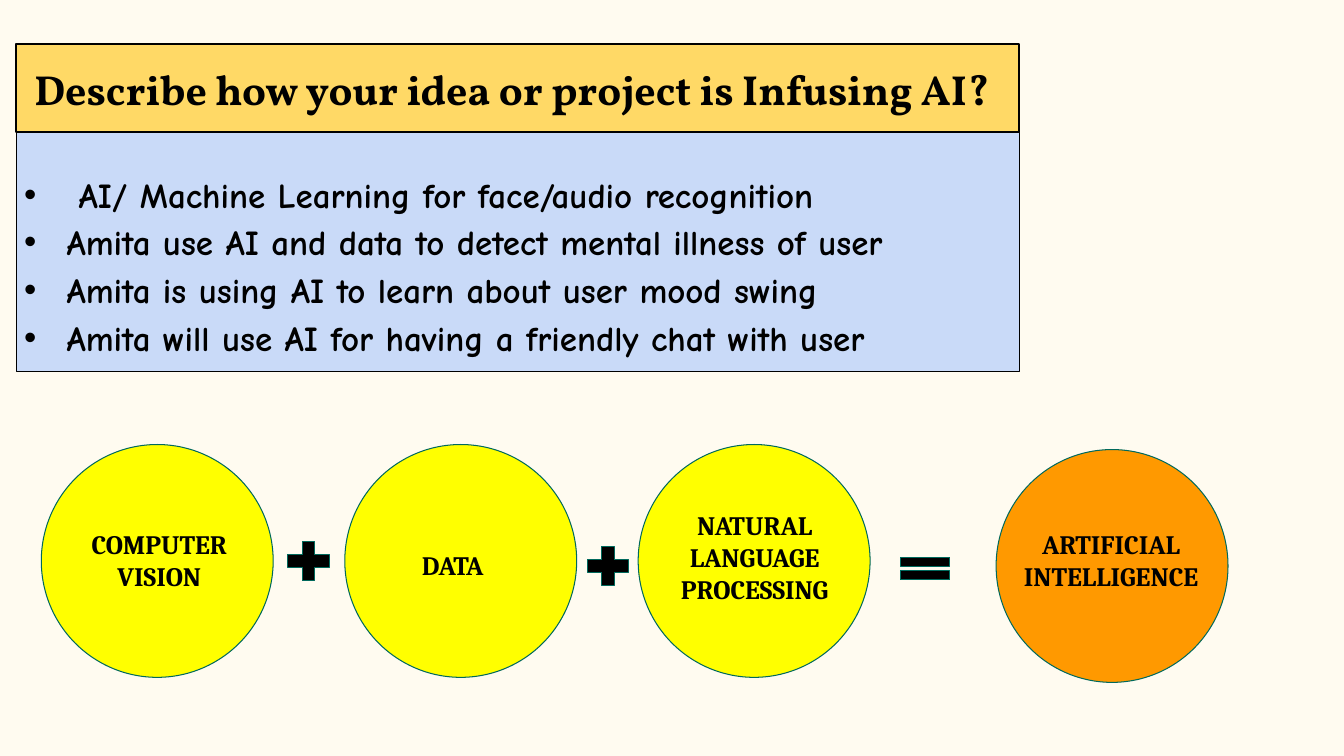
import pptx
import pptx.dml.color
import pptx.enum.shapes
import pptx.enum.text
import pptx.oxml
import pptx.oxml.ns
import pptx.util

Inches = pptx.util.Inches
Pt = pptx.util.Pt
SHAPE = pptx.enum.shapes.MSO_SHAPE
ANCHOR = pptx.enum.text.MSO_ANCHOR
CENTER = pptx.enum.text.PP_ALIGN.CENTER

BLACK = "000000"
TEAL = "00695C"
YELLOW = "FFFF00"
CIRCLE_WIDTH, CIRCLE_HEIGHT = 2.3, 2.31
LABEL_HEIGHT = 1.22
USES = [
    "AI/ Machine Learning for face/audio recognition",
    "Amita use AI and data to detect mental illness of user",
    "Amita is using AI to learn about user mood swing",
    "Amita will use AI for having a friendly chat with user",
]


def color(value):
    """Return the colour for a hex string."""
    return pptx.dml.color.RGBColor.from_string(value)


def paint(shape, fill, line, width):
    """Give a shape a solid fill and an outline."""
    shape.fill.solid()
    shape.fill.fore_color.rgb = color(fill)
    shape.line.color.rgb = color(line)
    shape.line.width = Pt(width)


def set_margins(frame, left, top, right, bottom):
    """Set the insets of a text frame in inches."""
    frame.margin_left, frame.margin_top = Inches(left), Inches(top)
    frame.margin_right, frame.margin_bottom = Inches(right), Inches(bottom)


def style(paragraph, font, size):
    """Format the runs of a paragraph in bold black."""
    for run in paragraph.runs:
        run.font.name = font
        run.font.size = Pt(size)
        run.font.bold = True
        run.font.color.rgb = color(BLACK)


def add_preset(slide, kind, left, top, width, height, fill, line=TEAL, line_width=0.75):
    """Add a painted preset shape without shadow."""
    shape = slide.shapes.add_shape(
        kind, Inches(left), Inches(top), Inches(width), Inches(height))
    shape.shadow.inherit = False
    paint(shape, fill, line, line_width)
    return shape


def add_bullet(paragraph, indent, hanging):
    """Put a black round bullet and a hanging indent on a paragraph."""
    properties = paragraph._p.get_or_add_pPr()
    properties.set("marL", str(Inches(indent)))
    properties.set("indent", str(-Inches(hanging)))
    namespace = pptx.oxml.ns.nsdecls("a")
    for element in (
        f'<a:buClr {namespace}><a:srgbClr val="{BLACK}"/></a:buClr>',
        f'<a:buFont {namespace} typeface="Arial"/>',
        f'<a:buChar {namespace} char="•"/>',
    ):
        properties.append(pptx.oxml.parse_xml(element))


def add_heading(slide, left, top, width, height):
    """Turn the title placeholder into the heading bar."""
    heading = slide.shapes.title
    heading.left, heading.top = Inches(left), Inches(top)
    heading.width, heading.height = Inches(width), Inches(height)
    paint(heading, "FFD966", BLACK, 1.5)
    frame = heading.text_frame
    frame.text = "Describe how your idea or project is Infusing AI?"
    frame.auto_size = pptx.enum.text.MSO_AUTO_SIZE.NONE
    frame.vertical_anchor = ANCHOR.MIDDLE
    set_margins(frame, 0, 0, 0.11, 0)
    frame.paragraphs[0].alignment = CENTER
    style(frame.paragraphs[0], "Vollkorn", 30)


def add_uses(slide, left, top, width, height):
    """Add the panel with the bulleted uses of AI."""
    panel = add_preset(slide, SHAPE.RECTANGLE, left, top, width, height, "C9DAF8", BLACK)
    frame = panel.text_frame
    frame.word_wrap = True
    frame.vertical_anchor = ANCHOR.TOP
    set_margins(frame, 0, 0.41, 0, 0)
    frame.text = "\n".join(USES)
    for index, paragraph in enumerate(frame.paragraphs):
        extra = 0 if index else 0.12
        paragraph.alignment = pptx.enum.text.PP_ALIGN.LEFT
        if index:
            paragraph.space_before = Pt(4)
        add_bullet(paragraph, 0.5 + extra, 0.42 + extra)
        style(paragraph, "Comic Neue", 25)


def add_term(slide, left, top, fill, label, label_left, label_top, label_width):
    """Add one circle of the sum and its label, offset from the circle."""
    add_preset(slide, SHAPE.OVAL, left, top, CIRCLE_WIDTH, CIRCLE_HEIGHT, fill)
    box = slide.shapes.add_textbox(
        Inches(left + label_left), Inches(top + label_top),
        Inches(label_width), Inches(LABEL_HEIGHT))
    frame = box.text_frame
    frame.word_wrap = True
    set_margins(frame, 0.1, 0.1, 0.1, 0.1)
    frame.text = label
    for paragraph in frame.paragraphs:
        paragraph.alignment = CENTER
        style(paragraph, "Cambria", 19)


def add_sum(slide, left, top):
    """Add the row of circles joined by plus and equals signs."""
    terms = [
        (0, 0, YELLOW, "COMPUTER\nVISION", 0.21, 0.73, 1.92),
        (3.01, 0, YELLOW, "DATA", 0.11, 0.94, 1.92),
        (5.92, 0, YELLOW, "NATURAL\nLANGUAGE\nPROCESSING", 0.1, 0.54, 2.11),
        (9.47, 0.05, "FF9900", "ARTIFICIAL INTELLIGENCE", -0.15, 0.68, 2.58),
    ]
    signs = [
        (SHAPE.MATH_PLUS, 2.37, 0.89, 0.56, 0.53),
        (SHAPE.MATH_PLUS, 5.34, 0.94, 0.56, 0.53),
        (SHAPE.MATH_EQUAL, 8.43, 1.04, 0.67, 0.38),
    ]
    for x, y, *term in terms:
        add_term(slide, left + x, top + y, *term)
    for kind, x, y, width, height in signs:
        add_preset(slide, kind, left + x, top + y, width, height, BLACK)


def main():
    """Build the slide and save it."""
    deck = pptx.Presentation()
    deck.slide_width, deck.slide_height = Inches(13.33), Inches(7.5)
    slide = deck.slides.add_slide(deck.slide_layouts[5])
    slide.background.fill.solid()
    slide.background.fill.fore_color.rgb = color("FFFBF0")
    add_heading(slide, 0.16, 0.44, 9.95, 0.87)
    add_uses(slide, 0.16, 1.31, 9.95, 2.38)
    add_sum(slide, 0.41, 4.41)
    deck.save("out.pptx")


if __name__ == "__main__":
    main()
